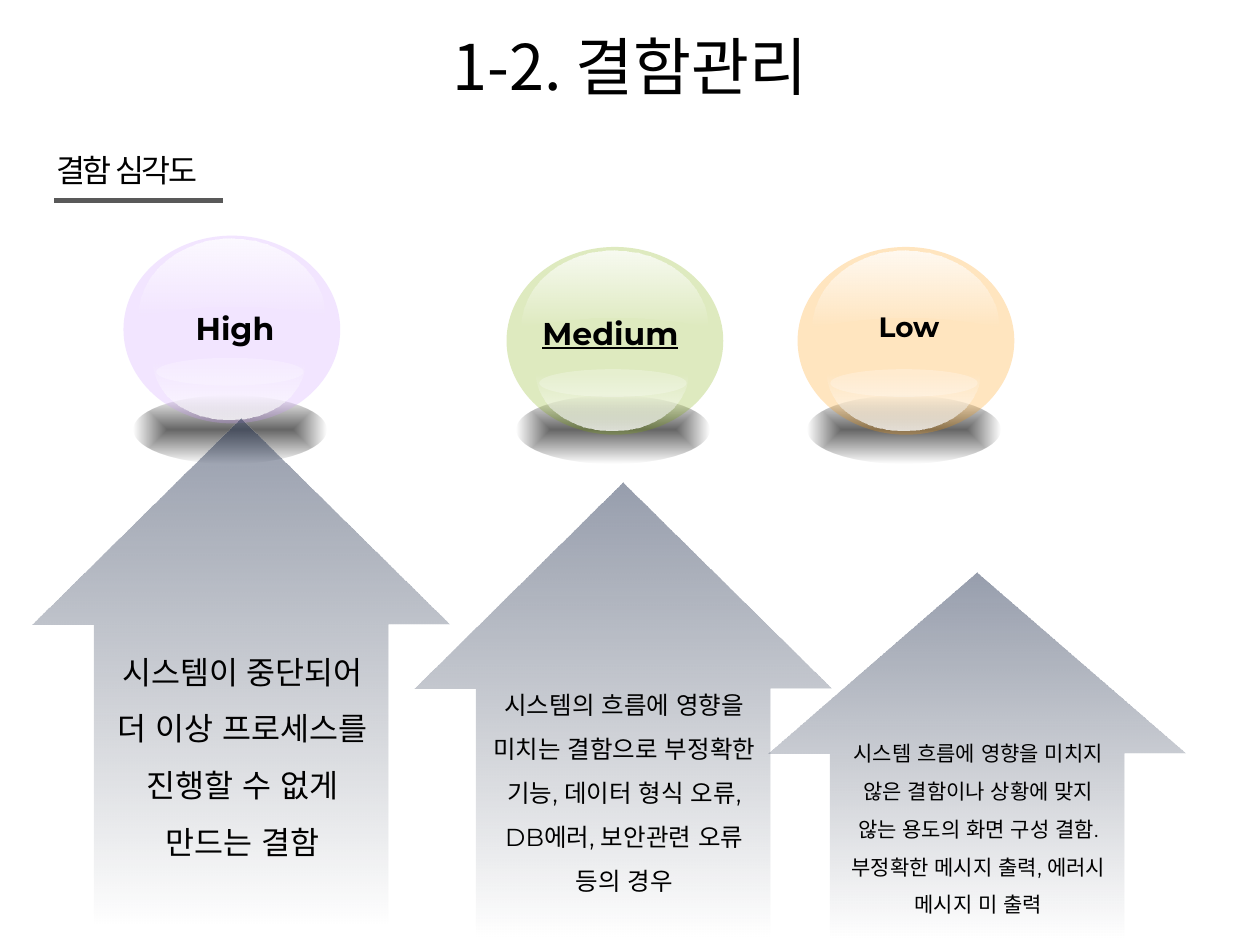
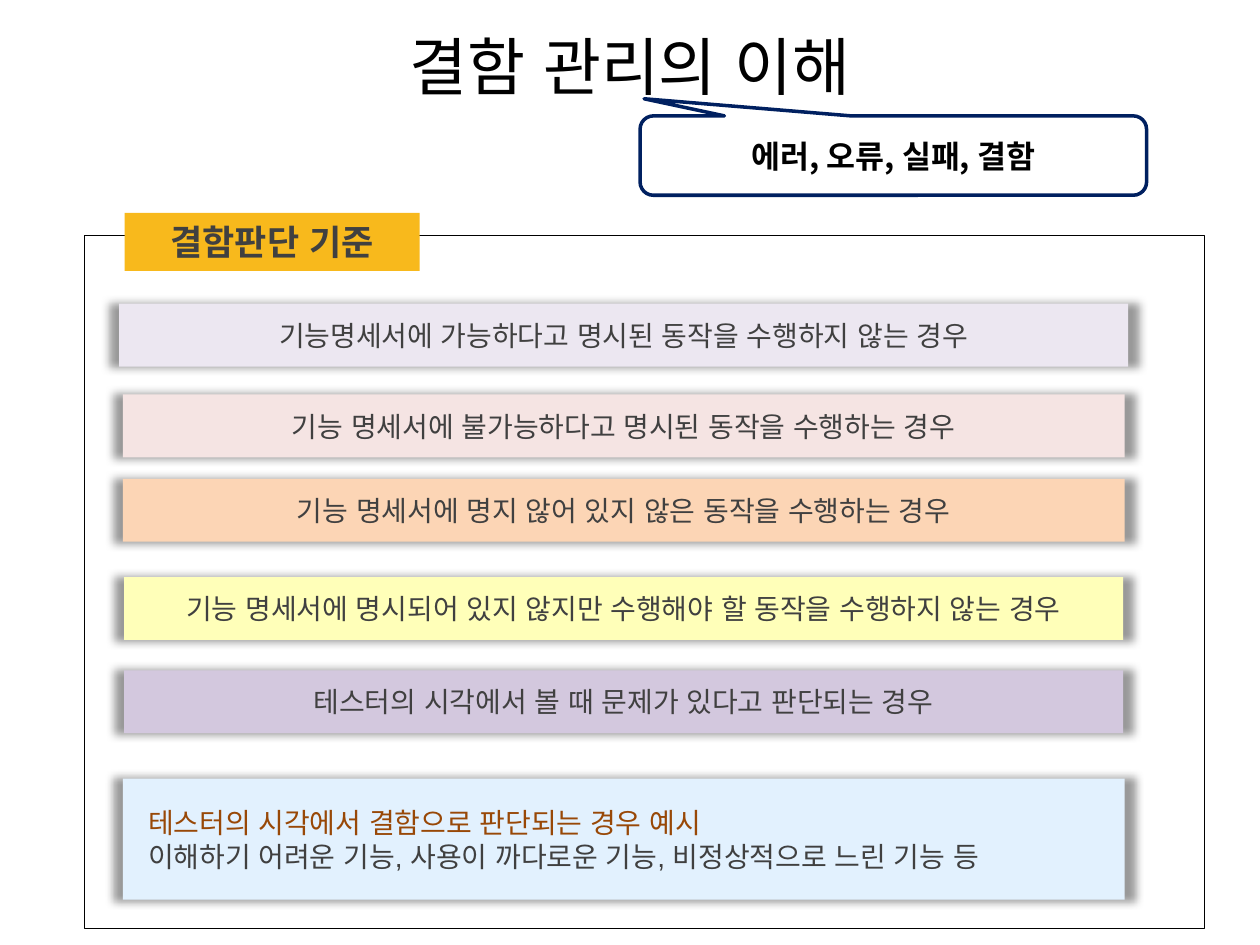
"""Builds two slides on defect severity and defect criteria."""
from dataclasses import dataclass
from math import cos, pi, sin

from lxml import etree
from pptx import Presentation
from pptx.dml.color import RGBColor as RGB
from pptx.enum.lang import MSO_LANGUAGE_ID as LANG
from pptx.enum.shapes import MSO_CONNECTOR as LINE, MSO_SHAPE as SHAPE
from pptx.enum.text import MSO_ANCHOR as ANCHOR, PP_ALIGN as ALIGN
from pptx.oxml import parse_xml
from pptx.oxml.ns import qn
from pptx.util import Inches, Pt

NS = 'xmlns:a="http://schemas.openxmlformats.org/drawingml/2006/main"'


@dataclass(frozen=True)
class Theme:
    korean: str = "Noto Sans CJK KR"
    plain: str = "Arial"
    accent: str = "Montserrat"
    black: str = "000000"
    white: str = "FFFFFF"
    text: str = "404040"
    example: str = "984807"
    rule: str = "595959"
    callout: str = "002060"
    tag: str = "F8B91C"
    arrow_top: str = "2D3B59"
    arrow_end: str = "202A40"
    high: str = "CC99FF"
    medium: str = "7FAC00"
    low: str = "FF9900"
    lilac: str = "ECE7F1"
    rose: str = "F5E4E3"
    peach: str = "FCD5B5"
    yellow: str = "FFFFB9"
    violet: str = "D3C8DE"
    sky: str = "E2F1FE"
    title_size: int = 36
    tag_size: int = 20
    large: int = 18
    body: int = 16
    medium_size: int = 14
    small: int = 12


class Deck:
    def __init__(self, theme):
        self.t = theme
        self.prs = Presentation()
        self.prs.slide_width, self.prs.slide_height = Inches(10), Inches(7.5)

    def slide(self, title):
        self.s = self.prs.slides.add_slide(self.prs.slide_layouts[5])
        sp = self.s.shapes.title
        sp.left, sp.top, sp.width, sp.height = map(Inches, (0.12, 0.05, 9.76, 0.94))
        self.label(sp, title, self.t.title_size, self.t.korean)

    def label(self, sp, text, size, font, color=None, bold=False,
              align=ALIGN.CENTER, anchor=ANCHOR.MIDDLE, spacing=None):
        tf = sp.text_frame
        tf.text = text
        tf.word_wrap = True
        tf.vertical_anchor = anchor
        for p in tf.paragraphs:
            p.alignment = align
            if spacing:
                p.line_spacing = spacing
            for r in p.runs:
                r.font.size, r.font.bold, r.font.name = Pt(size), bold, font
                r.font.color.rgb = RGB.from_string(color or self.t.black)
                r.font.language_id = LANG.KOREAN
                ea = etree.SubElement(r.font._element, qn("a:ea"))
                ea.set("typeface", self.t.korean)
        return tf

    def text(self, box, text, size, font, **style):
        sp = self.s.shapes.add_textbox(*map(Inches, box))
        return self.label(sp, text, size, font, anchor=ANCHOR.TOP, **style)

    def clean(self, sp, fill=None, line=None, width=1):
        sp.shadow.inherit = False
        if fill:
            sp.fill.solid()
            sp.fill.fore_color.rgb = RGB.from_string(fill)
        else:
            sp.fill.background()
        if line:
            sp.line.color.rgb = RGB.from_string(line)
            sp.line.width = Pt(width)
        else:
            sp.line.fill.background()
        return sp

    def shape(self, kind, box, fill=None, line=None, width=1, adj=()):
        sp = self.s.shapes.add_shape(kind, *map(Inches, box))
        for i, value in enumerate(adj):
            sp.adjustments[i] = value
        return self.clean(sp, fill, line, width)

    def fade(self, sp, start, end, angle=None):
        stops = "".join(
            f'<a:gs pos="{pos}"><a:srgbClr val="{color}">'
            f'<a:alpha val="{alpha * 1000}"/></a:srgbClr></a:gs>'
            for pos, (color, alpha) in ((0, start), (100000, end)))
        if angle is None:
            way = ('<a:path path="shape"><a:fillToRect l="50000" t="50000" '
                   'r="50000" b="50000"/></a:path>')
        else:
            way = f'<a:lin ang="{angle * 60000}" scaled="0"/>'
        grad = parse_xml(f'<a:gradFill {NS} rotWithShape="1">'
                         f'<a:gsLst>{stops}</a:gsLst>{way}</a:gradFill>')
        sp.fill.solid()
        spPr = sp._element.spPr
        spPr.replace(spPr.find(qn("a:solidFill")), grad)

    def glass(self, box, color):
        sp = self.shape(SHAPE.OVAL, box, color)
        clr = sp._element.spPr.find(qn("a:solidFill"))[0]
        etree.SubElement(clr, qn("a:alpha")).set("val", "25000")

    def rule(self, x1, x2, y):
        cn = self.s.shapes.add_connector(LINE.STRAIGHT, *map(Inches, (x1, y, x2, y)))
        cn.line.color.rgb = RGB.from_string(self.t.rule)
        cn.line.width = Pt(3)
        etree.SubElement(cn._element.spPr, qn("a:effectLst"))

    def bowl(self, cx, top, rx, ry):
        arc = [(Inches(cx + rx * cos(pi * i / 40)), Inches(top + ry * sin(pi * i / 40)))
               for i in range(41)]
        fb = self.s.shapes.build_freeform(*arc[0])
        fb.add_line_segments(arc[1:], close=True)
        sp = self.clean(fb.convert_to_shape())
        self.fade(sp, (self.t.white, 0), (self.t.white, 80), 90)

    def ball(self, x, y, color):
        t = self.t
        floor = self.shape(SHAPE.OVAL, (x + 0.08, 3.14, 1.53, 0.54))
        self.fade(floor, (t.black, 60), (t.black, 0))
        self.glass((x, y, 1.72, 1.49), color)
        shine = self.shape(SHAPE.MOON, (x + 0.55, y - 0.41, 0.61, 1.48), adj=[0.875])
        shine.rotation = 90
        self.fade(shine, (t.white, 80), (t.white, 0), 0)
        self.glass((x + 0.26, y + 0.97, 1.17, 0.22), t.white)
        self.bowl(x + 0.84, y + 1.01, 0.6, 0.45)

    def arrow(self, x, y, height, text_top, text_height, text, size):
        t = self.t
        sp = self.shape(SHAPE.UP_ARROW, (x, y, 3.31, height), adj=[0.705, 0.494])
        self.fade(sp, (t.arrow_top, 50), (t.arrow_end, 0), 90)
        self.text((x + 0.52, text_top, 2.29, text_height), text, size, t.accent, spacing=1.5)

    def bar(self, y, width, height, fill, text, **style):
        sp = self.shape(SHAPE.RECTANGLE, (4.95 - width / 2, y, width, height), fill)
        effects = sp._element.spPr.find(qn("a:effectLst"))
        effects.append(parse_xml(
            f'<a:outerShdw {NS} blurRad="63500" sx="102000" sy="102000" algn="ctr" '
            f'rotWithShape="0"><a:srgbClr val="{self.t.black}">'
            '<a:alpha val="40000"/></a:srgbClr></a:outerShdw>'))
        return self.label(sp, text, self.t.body, self.t.plain, self.t.text, **style)


def severity(d):
    t = d.t
    d.slide("1-2. 결함관리")
    tf = d.text((0.35, 1.15, 1.42, 0.4), "결함 심각도", t.large, t.plain, align=ALIGN.LEFT)
    tf.paragraphs[0].runs[0].font._element.set("spc", "-150")
    d.rule(0.43, 1.77, 1.59)
    levels = [
        ("Low", 6.33, 1.96, t.low, 6.45, 2.41, t.body),
        ("Medium", 4.02, 1.96, t.medium, 4.08, 2.44, t.large),
        ("High", 0.98, 1.87, t.high, 1.1, 2.4, t.large),
    ]
    for name, x, y, color, label_x, label_y, size in levels:
        d.ball(x, y, color)
        tf = d.text((label_x, label_y, 1.53, 0.4), name, size, t.accent, bold=True)
        tf.paragraphs[0].runs[0].font.underline = name == "Medium"
    d.arrow(0.26, 3.32, 4.03, 4.98, 2.37,
            "시스템이 중단되어 더 이상 프로세스를 진행할 수 없게 만드는 결함", t.large)
    d.arrow(3.29, 3.83, 3.61, 5.31, 1.87,
            "시스템의 흐름에 영향을 미치는 결함으로 부정확한 기능, 데이터 형식 오류, "
            "DB에러, 보안관련 오류 등의 경우", t.medium_size)
    d.arrow(6.1, 4.54, 2.91, 5.73, 1.58,
            "시스템 흐름에 영향을 미치지 않은 결함이나 상황에 맞지 않는 용도의 화면 구성 결함. "
            "부정확한 메시지 출력, 에러시 메시지 미 출력", t.small)


def criteria(d):
    t = d.t
    d.slide("결함 관리의 이해")
    callout = d.shape(SHAPE.ROUNDED_RECTANGULAR_CALLOUT, (5.08, 0.92, 4.02, 0.63),
                      line=t.callout, width=2, adj=[-0.492, -0.716, 0.167])
    d.label(callout, "에러, 오류, 실패, 결함", t.large, t.korean, bold=True)
    d.shape(SHAPE.RECTANGLE, (0.67, 1.87, 8.89, 5.5), t.white, t.black, 0.75)
    for y, width, fill, text in [
        (2.41, 8.01, t.lilac, "기능명세서에 가능하다고 명시된 동작을 수행하지 않는 경우"),
        (3.13, 7.95, t.rose, "기능 명세서에 불가능하다고 명시된 동작을 수행하는 경우"),
        (3.8, 7.95, t.peach, "기능 명세서에 명지 않어 있지 않은 동작을 수행하는 경우"),
        (4.58, 7.93, t.yellow,
         "기능 명세서에 명시되어 있지 않지만 수행해야 할 동작을 수행하지 않는 경우"),
        (5.32, 7.93, t.violet, "테스터의 시각에서 볼 때 문제가 있다고 판단되는 경우"),
    ]:
        d.bar(y, width, 0.5, fill, text)
    tf = d.bar(6.18, 7.95, 0.96, t.sky,
               "테스터의 시각에서 결함으로 판단되는 경우 예시\n"
               "이해하기 어려운 기능, 사용이 까다로운 기능, 비정상적으로 느린 기능 등",
               align=ALIGN.LEFT)
    tf.margin_left = Inches(0.2)
    tf.paragraphs[0].runs[0].font.color.rgb = RGB.from_string(t.example)
    tag = d.shape(SHAPE.RECTANGLE, (0.99, 1.69, 2.34, 0.46), t.tag)
    d.label(tag, "결함판단 기준", t.tag_size, t.plain, t.text, bold=True)


def main():
    d = Deck(Theme())
    severity(d)
    criteria(d)
    d.prs.save("out.pptx")


if __name__ == "__main__":
    main()
